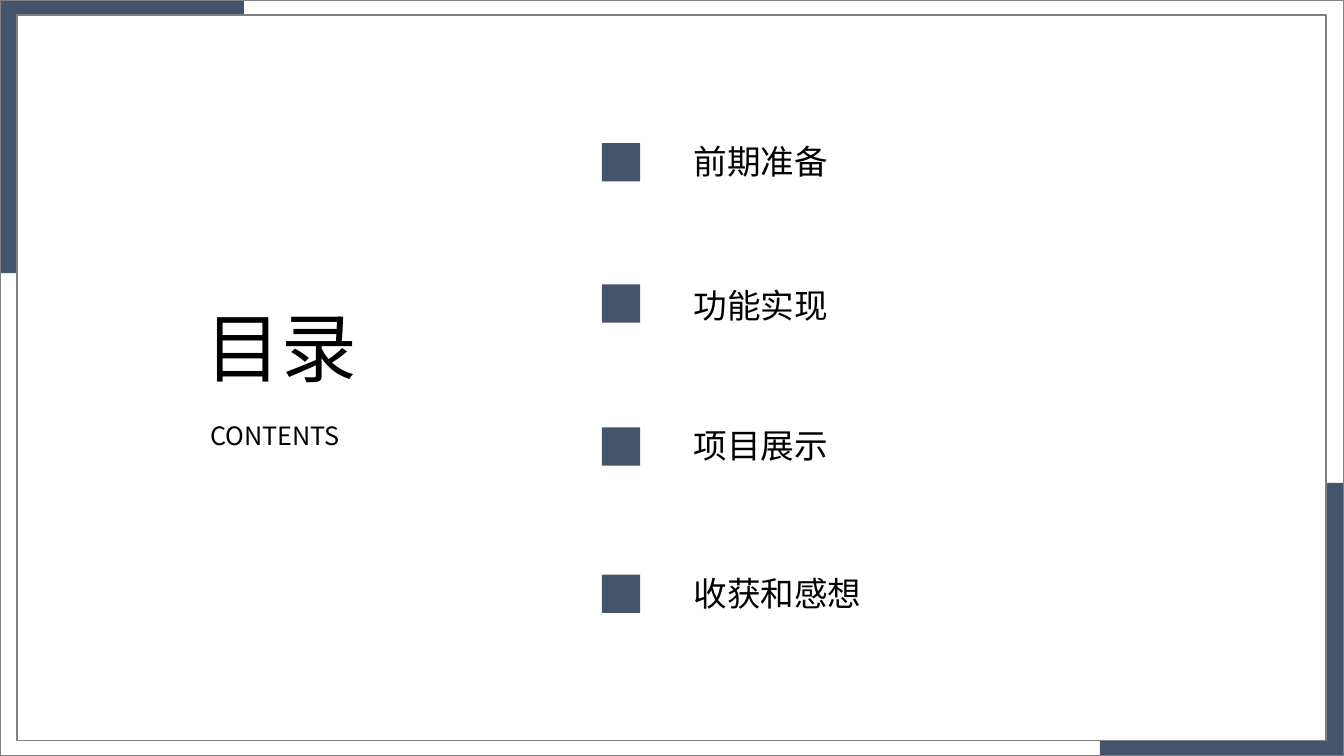
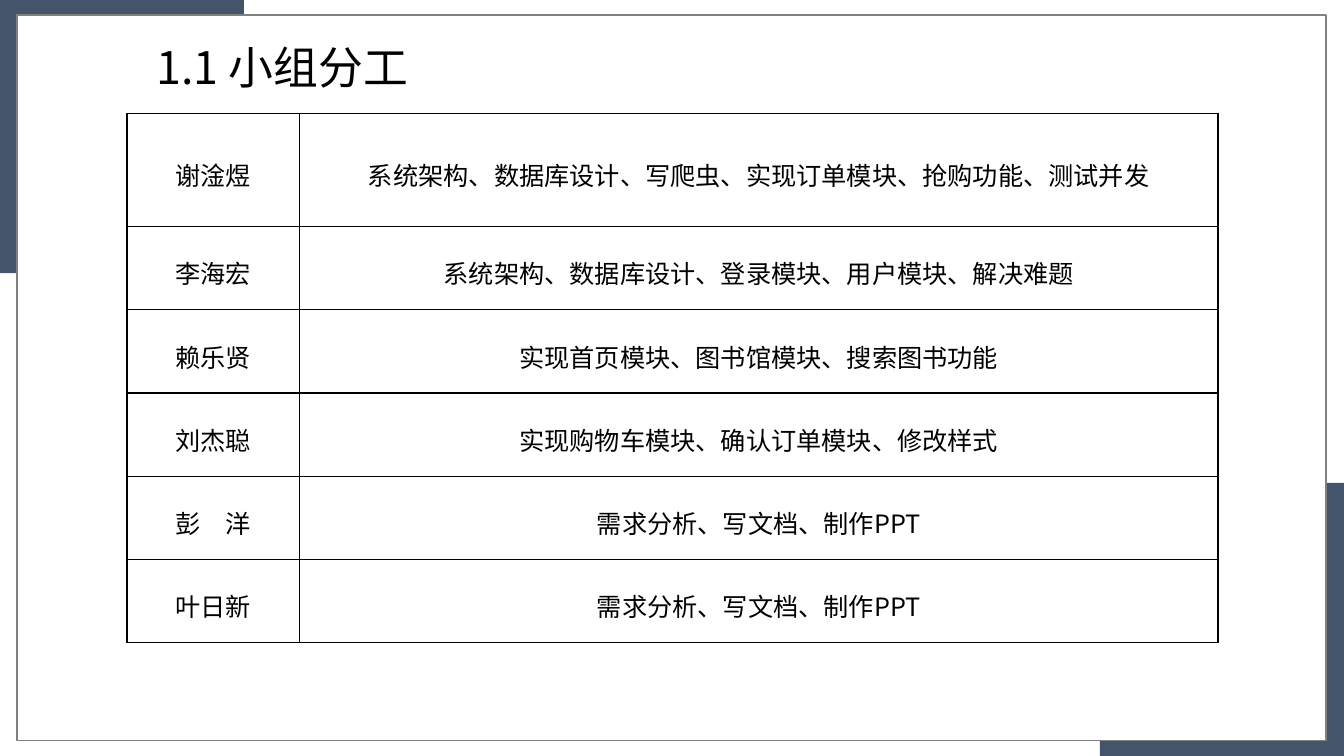
from lxml.etree import SubElement
from pptx import Presentation
from pptx.dml.color import RGBColor
from pptx.enum.shapes import MSO_SHAPE
from pptx.enum.text import MSO_ANCHOR, MSO_AUTO_SIZE, PP_ALIGN
from pptx.oxml import parse_xml
from pptx.oxml.ns import nsdecls, qn
from pptx.util import Inches, Pt

# Shared look
NAVY = RGBColor(0x44, 0x54, 0x6A)
GRAY = RGBColor(0x80, 0x80, 0x80)
WHITE = RGBColor(0xFF, 0xFF, 0xFF)
BLACK = RGBColor(0x00, 0x00, 0x00)
FONT = "Noto Sans CJK SC"
WIDTH, HEIGHT = 13.33, 7.5
BAND_WIDTH, BAND_HEIGHT = 2.42, 2.71

# Contents entries: label, top of marker, top of label, width of label
ENTRIES = [
    ("前期准备", 1.42, 1.35, 1.53),
    ("功能实现", 2.82, 2.78, 1.53),
    ("项目展示", 4.24, 4.17, 1.53),
    ("收获和感想", 5.7, 5.63, 1.87),
]
MARKER_SIZE = 0.38

# Team members and their tasks
TEAM = [
    ("谢淦煜", "系统架构、数据库设计、写爬虫、实现订单模块、抢购功能、测试并发"),
    ("李海宏", "系统架构、数据库设计、登录模块、用户模块、解决难题"),
    ("赖乐贤", "实现首页模块、图书馆模块、搜索图书功能"),
    ("刘杰聪", "实现购物车模块、确认订单模块、修改样式"),
    ("彭　洋", "需求分析、写文档、制作PPT"),
    ("叶日新", "需求分析、写文档、制作PPT"),
]
COLUMN_WIDTHS = [1.71, 9.11]
FIRST_ROW, OTHER_ROW = 1.12, 0.825


def apply(target, formats):
    for name, value in formats.items():
        setattr(target, name, value)


def write(frame, text, size, **paragraph_formats):
    """Put one formatted paragraph into a text frame."""
    para = frame.paragraphs[0]
    apply(para, paragraph_formats)
    span = para.add_run()
    span.text = text
    apply(span.font, {"name": FONT, "size": Pt(size)})
    span.font.color.rgb = BLACK
    SubElement(span.font._element, qn("a:ea"), typeface=FONT)


def add_box(page, left, top, width, height, fill=None, line=None):
    box = page.shapes.add_shape(
        MSO_SHAPE.RECTANGLE, *map(Inches, (left, top, width, height)))
    box.shadow.inherit = False
    if fill is None:
        box.fill.background()
    else:
        box.fill.solid()
        box.fill.fore_color.rgb = fill
    if line is None:
        box.line.fill.background()
    else:
        box.line.color.rgb = line
        box.line.width = Pt(1)


def add_text(page, text, left, top, width, height, size, wrap=True, **formats):
    box = page.shapes.add_textbox(*map(Inches, (left, top, width, height)))
    apply(box.text_frame, {"word_wrap": wrap,
                           "auto_size": MSO_AUTO_SIZE.SHAPE_TO_FIT_TEXT})
    write(box.text_frame, text, size, **formats)


def add_page(deck):
    """Add a page with the corner bands and the framed white panel."""
    page = deck.slides.add_slide(deck.slide_layouts[6])
    add_box(page, WIDTH - BAND_WIDTH, HEIGHT - BAND_HEIGHT,
            BAND_WIDTH, BAND_HEIGHT, NAVY)
    add_box(page, 0, 0, BAND_WIDTH, BAND_HEIGHT, NAVY)
    add_box(page, 0.17, 0.15, 12.98, 7.2, WHITE, GRAY)
    return page


def add_borders(cell):
    properties = cell._tc.get_or_add_tcPr()
    for index, side in enumerate(("lnL", "lnR", "lnT", "lnB")):
        properties.insert(index, parse_xml(
            f'<a:{side} {nsdecls("a")} w="{Pt(1)}"><a:solidFill>'
            f'<a:srgbClr val="{BLACK}"/></a:solidFill></a:{side}>'))


def add_team_table(page, left, top):
    heights = [FIRST_ROW] + [OTHER_ROW] * (len(TEAM) - 1)
    table = page.shapes.add_table(
        len(TEAM), len(COLUMN_WIDTHS), Inches(left), Inches(top),
        Inches(sum(COLUMN_WIDTHS)), Inches(sum(heights))).table
    apply(table, {"first_row": False, "horz_banding": False})
    for column, width in zip(table.columns, COLUMN_WIDTHS):
        column.width = Inches(width)
    for row, height, texts in zip(table.rows, heights, TEAM):
        row.height = Inches(height)
        for cell, text in zip(row.cells, texts):
            cell.fill.background()
            cell.vertical_anchor = MSO_ANCHOR.MIDDLE
            add_borders(cell)
            write(cell.text_frame, text, 18,
                  alignment=PP_ALIGN.CENTER, line_spacing=1.25)


def build_contents(deck):
    page = add_page(deck)
    add_box(page, 0, 0, WIDTH, HEIGHT, line=GRAY)
    add_box(page, 0.88, 3.16, 0.9, 1.22, WHITE)
    add_text(page, "目录", 1.94, 2.94, 2.22, 1.01, 54,
             alignment=PP_ALIGN.JUSTIFY)
    add_text(page, "CONTENTS", 1.99, 4.12, 2.17, 0.4, 18,
             alignment=PP_ALIGN.JUSTIFY)
    for label, marker_top, label_top, label_width in ENTRIES:
        add_box(page, 5.97, marker_top, MARKER_SIZE, MARKER_SIZE, NAVY)
        add_text(page, label, 6.78, label_top, label_width, 0.5, 24,
                 wrap=False)


def build_team(deck):
    page = add_page(deck)
    add_team_table(page, 1.26, 1.13)
    add_text(page, "1.1 小组分工", 1.26, 0.34, 3.08, 0.64, 32,
             alignment=PP_ALIGN.CENTER)


def main():
    deck = Presentation()
    apply(deck, {"slide_width": Inches(WIDTH), "slide_height": Inches(HEIGHT)})
    build_contents(deck)
    build_team(deck)
    deck.save("out.pptx")


if __name__ == "__main__":
    main()
